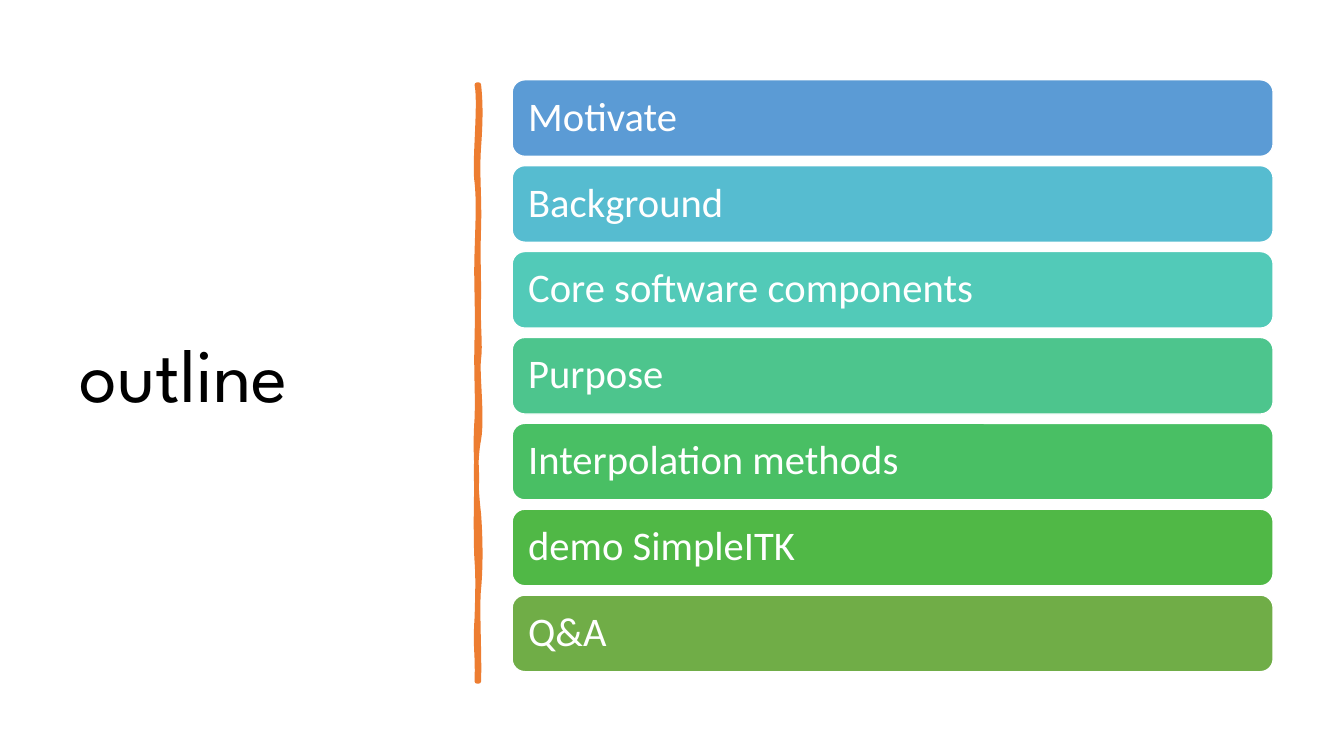
from dataclasses import dataclass

import lxml.etree
import pptx
import pptx.dml.color
import pptx.enum.shapes
import pptx.enum.text
import pptx.oxml.ns
import pptx.util

Pt = pptx.util.Pt
qn = pptx.oxml.ns.qn


@dataclass(frozen=True)
class Topic:
    text: str
    fill: str


@dataclass(frozen=True)
class Curve:
    x1: float
    y1: float
    x2: float
    y2: float
    x: float
    y: float


TOPICS = [
    Topic("Motivate", "5B9BD5"),
    Topic("Background", "56BCD0"),
    Topic("Core software components", "52CAB8"),
    Topic("Purpose", "4DC58D"),
    Topic("Interpolation methods", "49BF64"),
    Topic("demo SimpleITK", "50B846"),
    Topic("Q&A", "70AD47"),
]
BAR_LEFT, BAR_TOP, BAR_WIDTH, BAR_HEIGHT, BAR_PITCH = 365.8, 57, 543.6, 54.7, 61.35

STROKE_START = (342, 60.5)
STROKE_CURVES = [
    Curve(343.4, 73.4, 343.4, 85.7, 342, 105.1),
    Curve(340.6, 124.6, 342.7, 140.4, 342, 162.7),
    Curve(341.3, 185, 342, 188.6, 342, 211.7),
    Curve(341.3, 234, 343.4, 246.2, 342, 256.3),
    Curve(340.6, 266.4, 344.9, 298.1, 342, 313.9),
    Curve(339.1, 329, 339.8, 348.5, 342, 367.2),
    Curve(343.4, 385.9, 343.4, 406.1, 342, 420.5),
    Curve(340.6, 434.2, 342.7, 468, 342, 486.7),
    Curve(341.3, 486.7, 340.6, 486.7, 340.6, 486.7),
    Curve(341.3, 465.1, 339.1, 463.7, 340.6, 441.4),
    Curve(341.3, 419.8, 341.3, 410.4, 340.6, 401),
    Curve(339.8, 391.7, 339.8, 356.4, 340.6, 343.4),
    Curve(340.6, 330.5, 339.1, 320.4, 340.6, 298.8),
    Curve(341.3, 277.9, 339.8, 268.6, 340.6, 241.2),
    Curve(341.3, 214.6, 339.8, 202.3, 340.6, 180),
    Curve(341.3, 157, 342, 144, 340.6, 130.3),
    Curve(338.4, 117.4, 343.4, 74.9, 340.6, 60.5),
]


def color(value: str) -> pptx.dml.color.RGBColor:
    return pptx.dml.color.RGBColor.from_string(value)


def style(sp, fill: str, line: str, width: float) -> None:
    sp.shadow.inherit = False
    sp.fill.solid()
    sp.fill.fore_color.rgb = color(fill)
    sp.line.color.rgb = color(line)
    sp.line.width = Pt(width)


def write(sp, text: str, *, size: float, font: str, fill: str,
          inset_x: float, inset_y: float) -> None:
    tf = sp.text_frame
    tf.word_wrap = True
    tf.vertical_anchor = pptx.enum.text.MSO_ANCHOR.MIDDLE
    tf.margin_left = tf.margin_right = Pt(inset_x)
    tf.margin_top = tf.margin_bottom = Pt(inset_y)
    p = tf.paragraphs[0]
    p.alignment = pptx.enum.text.PP_ALIGN.LEFT
    p.line_spacing = 0.9
    r = p.add_run()
    r.text = text
    r.font.size = Pt(size)
    r.font.name = font
    r.font.color.rgb = color(fill)


def bend(sp, curves: list[Curve]) -> None:
    segments = list(sp.element.iter(qn("a:lnTo")))
    for segment, c in zip(segments, curves):
        bezier = lxml.etree.Element(qn("a:cubicBezTo"))
        for x, y in ((c.x1, c.y1), (c.x2, c.y2), (c.x, c.y)):
            lxml.etree.SubElement(bezier, qn("a:pt"),
                                  x=str(Pt(x) - sp.left), y=str(Pt(y) - sp.top))
        segment.getparent().replace(segment, bezier)


def draw_title(s) -> None:
    sp = s.shapes.add_textbox(Pt(50), Pt(50), Pt(269.3), Pt(439.9))
    write(sp, "outline", size=54, font="League Spartan", fill="000000",
          inset_x=7.2, inset_y=3.6)


def draw_divider(s) -> None:
    x, y = STROKE_START
    builder = s.shapes.build_freeform(Pt(x), Pt(y))
    builder.add_line_segments([(Pt(c.x), Pt(c.y)) for c in STROKE_CURVES], close=True)
    sp = builder.convert_to_shape()
    bend(sp, STROKE_CURVES)
    style(sp, "ED7D31", "ED7D31", 3.25)


def draw_topic(s, topic: Topic, row: int) -> None:
    sp = s.shapes.add_shape(
        pptx.enum.shapes.MSO_SHAPE.ROUNDED_RECTANGLE,
        Pt(BAR_LEFT), Pt(BAR_TOP + row * BAR_PITCH), Pt(BAR_WIDTH), Pt(BAR_HEIGHT))
    style(sp, topic.fill, "FFFFFF", 1)
    write(sp, topic.text, size=29, font="Calibri", fill="FFFFFF",
          inset_x=8.8, inset_y=8.7)


def main() -> None:
    prs = pptx.Presentation()
    prs.slide_width, prs.slide_height = Pt(960), Pt(540)
    s = prs.slides.add_slide(prs.slide_layouts[6])
    draw_title(s)
    draw_divider(s)
    for row, topic in enumerate(TOPICS):
        draw_topic(s, topic, row)
    prs.save("out.pptx")


if __name__ == "__main__":
    main()
